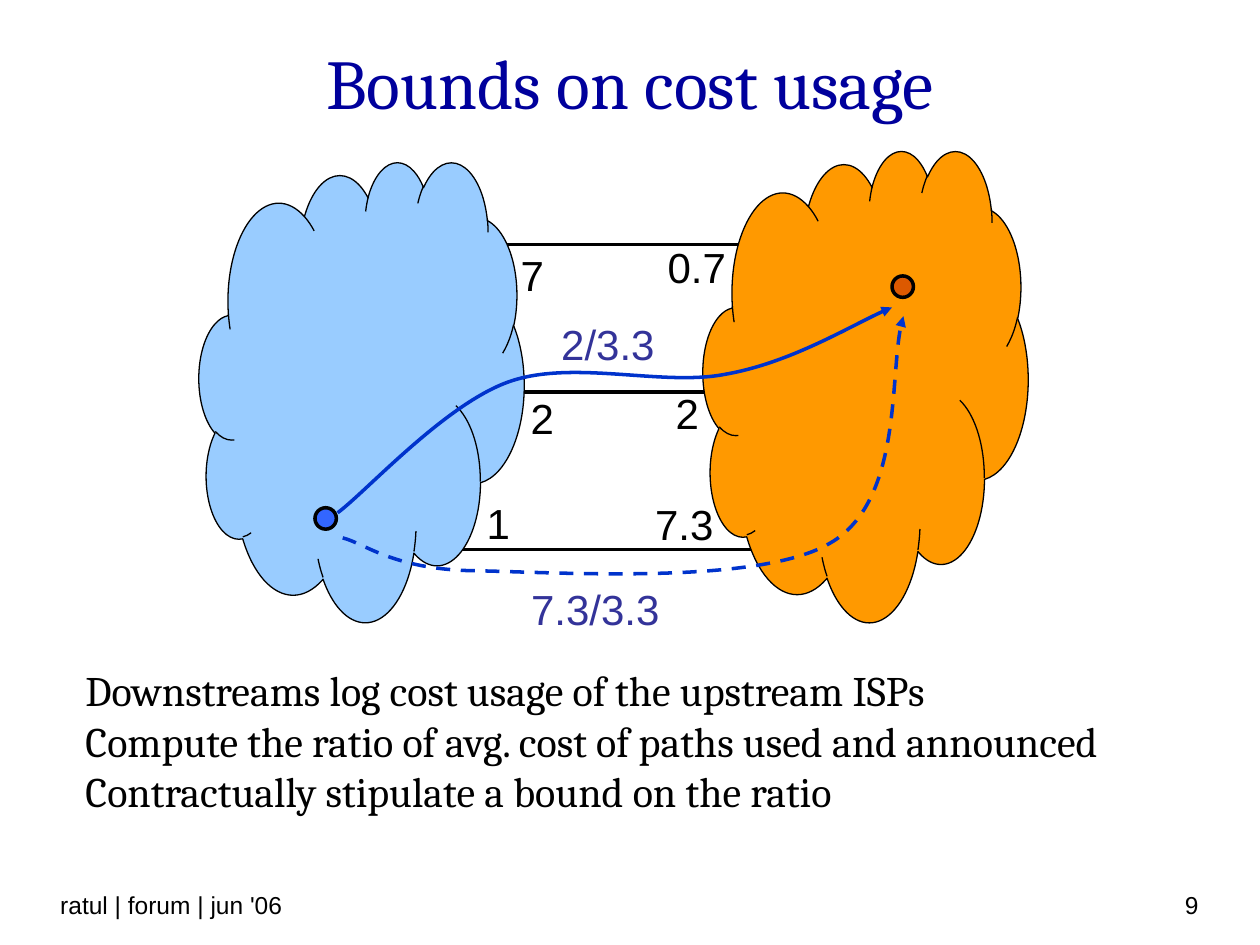
from pptx import Presentation
from pptx.dml.color import RGBColor
from pptx.enum.dml import MSO_LINE
from pptx.enum.shapes import MSO_CONNECTOR, MSO_SHAPE
from pptx.enum.text import MSO_ANCHOR, MSO_AUTO_SIZE, PP_ALIGN
from pptx.oxml.ns import qn
from pptx.util import Inches, Pt
from lxml import etree

CLOUD, OVAL = MSO_SHAPE.CLOUD_CALLOUT, MSO_SHAPE.OVAL
STRAIGHT, DASH = MSO_CONNECTOR.STRAIGHT, MSO_LINE.DASH
LEFT, MID, RIGHT = PP_ALIGN.LEFT, PP_ALIGN.CENTER, PP_ALIGN.RIGHT
TOP, CENTER, BOTTOM = MSO_ANCHOR.TOP, MSO_ANCHOR.MIDDLE, MSO_ANCHOR.BOTTOM
GROW = MSO_AUTO_SIZE.SHAPE_TO_FIT_TEXT

BLACK, NAVY, INDIGO, BLUE = "000000", "00009C", "333399", "0033CC"
SERIF, SANS = "Cambria", "Arial"


def color(code):
    return RGBColor.from_string(code)


class Board:
    """Draws on a grid of 100 columns by 75 rows."""

    def __init__(self, deck):
        self.slide = deck.slides.add_slide(deck.slide_layouts[6])
        self.shapes = self.slide.shapes
        self.cell = deck.slide_width / 100

    def grid(self, *cells):
        return [round(n * self.cell) for n in cells]

    def stroke(self, line, code, width):
        line.color.rgb = color(code)
        line.width = Pt(width)

    def text(self, box, lines, size, font, code=BLACK, align=MID, anchor=TOP,
             before=0, space=None, hang=0, grow=False):
        frame = self.shapes.add_textbox(*self.grid(*box)).text_frame
        frame.word_wrap = True
        frame.vertical_anchor = anchor
        if grow:
            frame.auto_size = GROW
        frame.text = "\n".join(lines)
        for para in frame.paragraphs:
            para.alignment = align
            para.space_before = Pt(before)
            if space:
                para.line_spacing = space
            if hang:
                step = self.grid(hang)[0]
                props = para._p.get_or_add_pPr()
                props.set("marL", str(step))
                props.set("indent", str(-step))
            para.font.size = Pt(size)
            para.font.name = font
            para.font.color.rgb = color(code)

    def label(self, box, word, code=BLACK):
        self.text((*box, 5), [word], 24, SANS, code, before=15, grow=True)

    def shape(self, kind, box, fill, width=0, turn=0):
        item = self.shapes.add_shape(kind, *self.grid(*box))
        item.shadow.inherit = False
        item.rotation = turn
        item.fill.solid()
        item.fill.fore_color.rgb = color(fill)
        if width:
            self.stroke(item.line, BLACK, width)
        else:
            item.line.fill.background()
        return item

    def cloud(self, box, fill):
        item = self.shape(CLOUD, box, fill, 0.75)
        item.adjustments[0], item.adjustments[1] = 0.045, -0.036
        # An oval hides the callout tail inside the cloud
        x, y, w, h = box
        cover = (x + 0.36 * w, y + 0.16 * h, 0.59 * w, 0.35 * h)
        self.shape(OVAL, cover, fill, turn=148.7)

    def link(self, start, end, row):
        item = self.shapes.add_connector(STRAIGHT, *self.grid(start, row, end, row))
        self.stroke(item.line, BLACK, 2)
        etree.SubElement(item._element.spPr, qn("a:effectLst"))

    def curve(self, points, dash=None):
        """Draw a Bezier route: a start, then three points per segment."""
        spots = [self.grid(*spot) for spot in points]
        maker = self.shapes.build_freeform(*spots[0])
        maker.add_line_segments(spots[1:], close=False)
        item = maker.convert_to_shape()
        item.shadow.inherit = False
        item.fill.background()
        self.stroke(item.line, BLUE, 2)
        if dash:
            item.line.dash_style = dash
        # Join each three straight steps into one cubic segment
        steps = item._element.xpath(".//a:lnTo")
        for i in range(0, len(steps), 3):
            bend = etree.Element(qn("a:cubicBezTo"))
            steps[i].addprevious(bend)
            for step in steps[i:i + 3]:
                bend.append(step[0])
                step.getparent().remove(step)
        etree.SubElement(item.line._get_or_add_ln(), qn("a:tailEnd"), type="triangle")


def main():
    deck = Presentation()
    deck.slide_width, deck.slide_height = Inches(10), Inches(7.5)
    board = Board(deck)

    board.text((5, 1.7, 90, 9.5), ["Bounds on cost usage"], 40, SERIF, NAVY,
               anchor=CENTER)

    # Links between the two networks
    for link in ((40.8, 57.5, 31.1), (36.7, 60.8, 43.6), (40, 60, 19.4)):
        board.link(*link)

    # Networks and their end points
    board.cloud((15.8, 12.8, 25.8, 36.5), "99CCFF")
    board.cloud((55.8, 11.9, 25.8, 37.4), "FF9900")
    for x, y, fill in ((25, 40.3, "3366FF"), (70.8, 21.9, "DC5900")):
        board.shape(OVAL, (x, y, 1.7, 1.7), fill, 2)

    # Routes
    board.curve([(26.8, 40.7), (29.1, 39), (35.3, 32.1), (40.4, 30.3),
                 (45.5, 28.5), (52.6, 30.7), (57.6, 29.7),
                 (62.7, 28.8), (68.1, 25.5), (70.8, 24.4)])
    board.curve([(27.2, 42.7), (28.9, 43.1), (31.2, 45.2), (37.6, 45.3),
                 (44, 45.4), (60.2, 46.5), (65.9, 43.1),
                 (71.6, 39.8), (70.5, 28.8), (71.7, 25.1)], DASH)

    # Link costs and route ratios
    for x, y, w, word in ((38.1, 19.3, 8.3, "7"), (50.4, 18.7, 9.8, "0.7"),
                          (38.9, 30.7, 8.3, "2"), (50.8, 30.3, 7.5, "2"),
                          (35.4, 39, 8.3, "1"), (49.2, 39.1, 10.2, "7.3")):
        board.label((x, y, w), word)
    board.label((40.2, 24.8, 16.1), "2/3.3", INDIGO)
    board.label((37, 45.8, 20.5), "7.3/3.3", INDIGO)

    # Main points
    board.text((5.8, 53, 90.8, 16.1),
               ["Downstreams log cost usage of the upstream ISPs",
                "Compute the ratio of avg. cost of paths used and announced",
                "Contractually stipulate a bound on the ratio"],
               24, SERIF, align=LEFT, before=6, space=0.8, hang=3.8)

    # Footer
    board.text((3.8, 68.3, 40.3, 5.2), ["ratul | forum | jun '06"], 14, SANS,
               align=LEFT, anchor=BOTTOM)
    board.text((72.8, 68.3, 23.3, 5.2), ["9"], 14, SANS, align=RIGHT,
               anchor=BOTTOM)

    deck.save("out.pptx")


if __name__ == "__main__":
    main()
